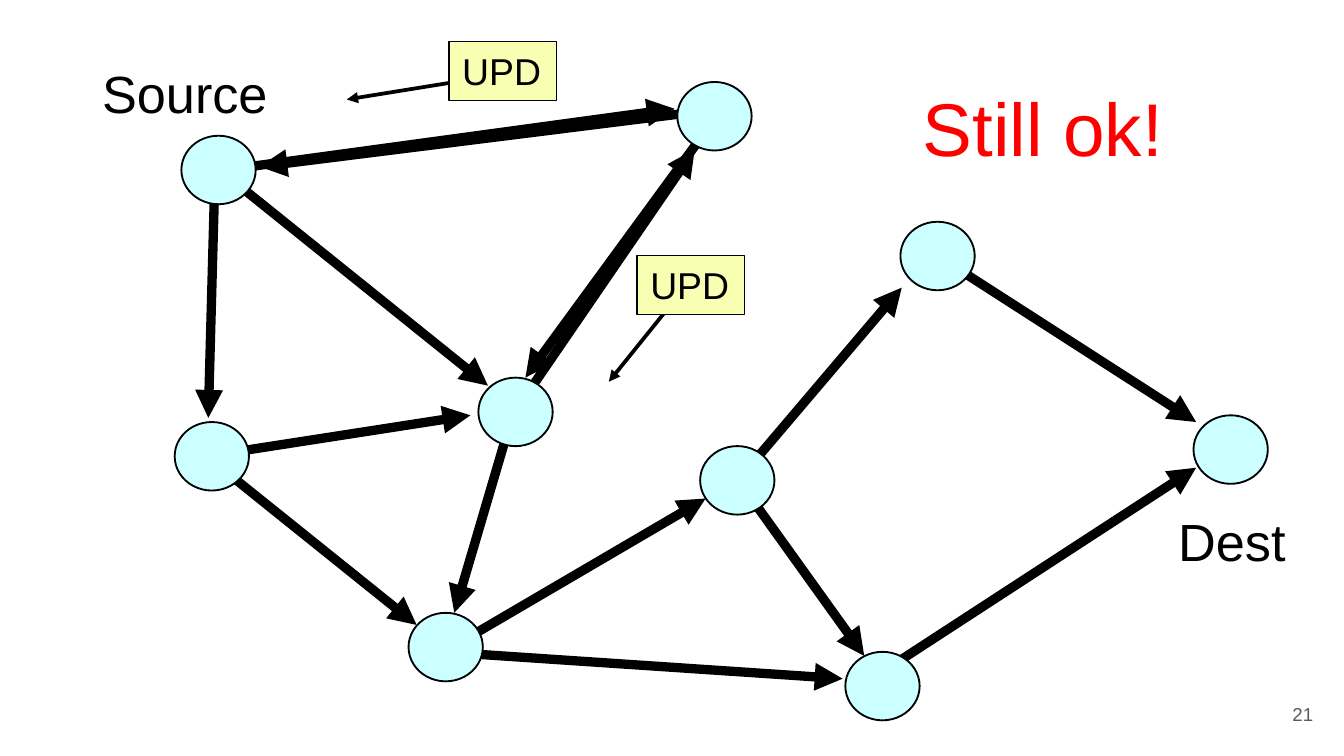
from dataclasses import dataclass

from lxml.etree import SubElement
from pptx import Presentation
from pptx.dml.color import RGBColor
from pptx.enum.shapes import MSO_CONNECTOR as Connector, MSO_SHAPE as Shape
from pptx.enum.text import MSO_ANCHOR as Anchor, MSO_AUTO_SIZE as AutoSize, PP_ALIGN as Align
from pptx.oxml.ns import qn
from pptx.util import Pt

COLORS = {"ink": "000000", "node": "CCFFFF", "update": "F8FFB3",
          "verdict": "FF0000", "page": "595959"}
FONT = "Arial"
NODE_W, NODE_H = 39.8, 36.7
UPDATE_W, UPDATE_H = 57.6, 31.7
LABEL_W, LABEL_H = 133.2, 41


@dataclass(frozen=True)
class Link:
    start: tuple[float, float]
    tip: tuple[float, float]
    weight: float = 5


@dataclass(frozen=True)
class Update:
    left: float
    top: float
    heading: Link


# Network links, each pointing at its tip
LINKS = [
    Link((385.2, 60.5), (281.5, 202.3)),
    Link((380.9, 59), (139, 89.3)),
    Link((115.2, 91.4), (111.6, 223.9)),
    Link((109.4, 243.4), (223.2, 334.8)),
    Link((117.4, 243.4), (252, 222.5)),
    Link((275.8, 218.2), (243.4, 328.3)),
    Link((118.1, 91.4), (261.4, 206.6)),
    Link((118.1, 91.4), (361.4, 58.3)),
    Link((276.5, 219.6), (372.2, 79.9)),
    Link((397.4, 254.9), (483.1, 154.1)),
    Link((236.2, 349.2), (451.4, 363.6)),
    Link((239, 348.5), (378, 267.1)),
    Link((397.4, 259.9), (463, 351.4)),
    Link((499.7, 135.4), (640.8, 226.1)),
    Link((455, 371.5), (640.8, 250.6)),
]
# Left and top of each router
NODES = [(482.4, 118.8), (375.1, 239), (452.9, 349.2), (218.9, 328.3), (93.6, 226.1),
         (256.3, 202.3), (97.2, 72.7), (362.9, 43.9), (639.4, 222.5)]
UPDATES = [
    Update(341.3, 136.8, Link((362.2, 159.8), (326.2, 204.5), 2)),
    Update(240.5, 22.3, Link((266.4, 40.3), (185.8, 53.3), 2)),
]
ENDPOINTS = [("Source", 32.4, 29.5), ("Dest", 593.3, 269.3)]


def color(name: str) -> RGBColor:
    return RGBColor.from_string(COLORS[name])


def write(holder, text: str, *, size: float, ink: str = "ink", align=Align.CENTER,
          anchor=Anchor.TOP, inset: float = 3.6) -> None:
    frame = holder.text_frame
    frame.word_wrap = True
    frame.auto_size = AutoSize.NONE
    frame.vertical_anchor = anchor
    frame.margin_left = frame.margin_right = Pt(7.2)
    frame.margin_top = frame.margin_bottom = Pt(inset)
    paragraph = frame.paragraphs[0]
    paragraph.alignment = align
    run = paragraph.add_run()
    run.text = text
    run.font.name = FONT
    run.font.size = Pt(size)
    run.font.color.rgb = color(ink)


def draw_link(slide, link: Link) -> None:
    arrow = slide.shapes.add_connector(
        Connector.STRAIGHT, *(Pt(value) for value in link.start + link.tip))
    arrow.line.color.rgb = color("ink")
    arrow.line.width = Pt(link.weight)
    SubElement(arrow.line._get_or_add_ln(), qn("a:tailEnd"), type="triangle")
    SubElement(arrow._element.spPr, qn("a:effectLst"))


def draw_shape(slide, kind, left: float, top: float, width: float, height: float,
               fill: str, outline: float):
    shape = slide.shapes.add_shape(kind, Pt(left), Pt(top), Pt(width), Pt(height))
    shape.shadow.inherit = False
    shape.fill.solid()
    shape.fill.fore_color.rgb = color(fill)
    shape.line.color.rgb = color("ink")
    shape.line.width = Pt(outline)
    return shape


def draw_update(slide, update: Update) -> None:
    draw_link(slide, update.heading)
    packet = draw_shape(slide, Shape.RECTANGLE, update.left, update.top,
                        UPDATE_W, UPDATE_H, "update", 0.75)
    write(packet, "UPD", size=20, align=Align.LEFT)


def main() -> None:
    deck = Presentation()
    deck.slide_width, deck.slide_height = Pt(720), Pt(405)
    slide = deck.slides.add_slide(deck.slide_layouts[5])

    # Verdict as the title
    verdict = slide.shapes.title
    verdict.left, verdict.top = Pt(433.4), Pt(40.3)
    verdict.width, verdict.height = Pt(250.6), Pt(55.4)
    write(verdict, "Still ok!", size=40, ink="verdict")

    # Network
    for link in LINKS:
        draw_link(slide, link)
    for left, top in NODES:
        draw_shape(slide, Shape.OVAL, left, top, NODE_W, NODE_H, "node", 1)

    # Endpoint labels
    for name, left, top in ENDPOINTS:
        label = slide.shapes.add_textbox(Pt(left), Pt(top), Pt(LABEL_W), Pt(LABEL_H))
        write(label, name, size=28)

    # Update packets and their headings
    for update in UPDATES:
        draw_update(slide, update)

    # Page number
    page = slide.shapes.add_textbox(Pt(667.4), Pt(367.2), Pt(43.2), Pt(31))
    write(page, "21", size=10, ink="page", align=Align.RIGHT,
          anchor=Anchor.MIDDLE, inset=7.2)

    deck.save("out.pptx")


if __name__ == "__main__":
    main()
